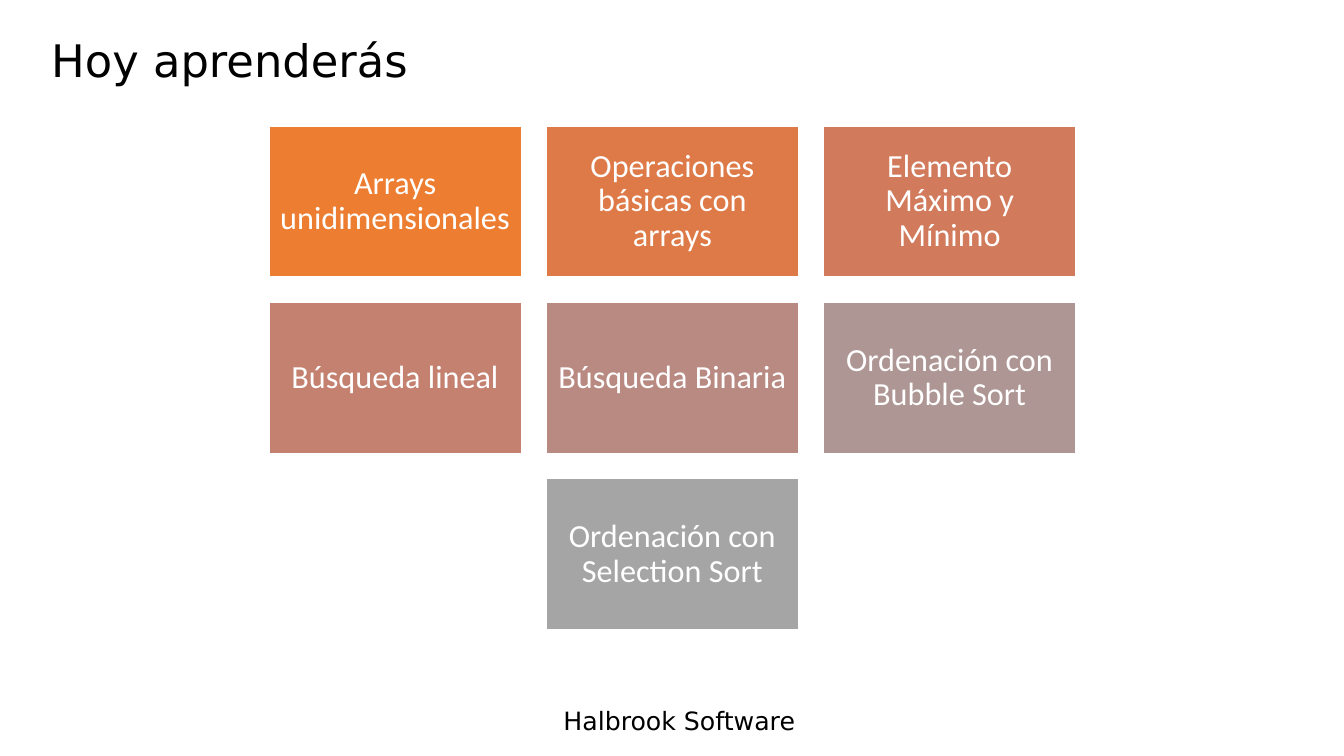
import pptx
import pptx.util
import pptx.dml.color
import pptx.enum.shapes
import pptx.enum.text

PX = 9144  # EMU per px, 100 px to the inch
RGBColor = pptx.dml.color.RGBColor
BLACK = RGBColor(0x00, 0x00, 0x00)
WHITE = RGBColor(0xFF, 0xFF, 0xFF)
ORANGE = RGBColor(0xED, 0x7D, 0x31)
COPPER = RGBColor(0xDE, 0x7A, 0x47)
TERRACOTTA = RGBColor(0xD1, 0x7B, 0x5C)
CLAY = RGBColor(0xC4, 0x81, 0x70)
ROSE = RGBColor(0xB9, 0x8A, 0x82)
MAUVE = RGBColor(0xAE, 0x96, 0x94)
GRAY = RGBColor(0xA5, 0xA5, 0xA5)


def write(shape, text, size, font, color, line_spacing=1.0):
    frame = shape.text_frame
    frame.word_wrap = True
    frame.vertical_anchor = pptx.enum.text.MSO_ANCHOR.MIDDLE
    paragraph = frame.paragraphs[0]
    paragraph.line_spacing = line_spacing
    run = paragraph.add_run()
    run.text = text
    run.font.size = pptx.util.Pt(size)
    run.font.name = font
    run.font.color.rgb = color
    return paragraph


presentation = pptx.Presentation()
presentation.slide_width = 1333 * PX
presentation.slide_height = 750 * PX
slide = presentation.slides.add_slide(presentation.slide_layouts[6])

# Footer and title
footer = slide.shapes.add_textbox(549 * PX, 695 * PX, 290 * PX, 40 * PX)
write(footer, "Halbrook Software", 18, "DejaVu Sans", BLACK)
title = slide.shapes.add_textbox(41 * PX, 15 * PX, 1201 * PX, 95 * PX)
write(title, "Hoy aprenderás", 32, "DejaVu Sans", BLACK, 0.9)

# Topic cards: three to a row, the last row centred
topics = [
    ("Arrays unidimensionales", ORANGE),
    ("Operaciones básicas con arrays", COPPER),
    ("Elemento Máximo y Mínimo", TERRACOTTA),
    ("Búsqueda lineal", CLAY),
    ("Búsqueda Binaria", ROSE),
    ("Ordenación con Bubble Sort", MAUVE),
    ("Ordenación con Selection Sort", GRAY),
]
COLUMNS = 3
CARD_WIDTH, CARD_HEIGHT, GAP = 250, 150, 25
GRID_LEFT, GRID_TOP = 267, 125

for index, (topic, color) in enumerate(topics):
    row, column = divmod(index, COLUMNS)
    cards_in_row = min(COLUMNS, len(topics) - row * COLUMNS)
    indent = (COLUMNS - cards_in_row) * (CARD_WIDTH + GAP) // 2
    left = GRID_LEFT + indent + column * (CARD_WIDTH + GAP)
    top = GRID_TOP + row * (CARD_HEIGHT + GAP)
    card = slide.shapes.add_shape(
        pptx.enum.shapes.MSO_SHAPE.RECTANGLE,
        left * PX, top * PX, CARD_WIDTH * PX, CARD_HEIGHT * PX)
    card.shadow.inherit = False
    card.fill.solid()
    card.fill.fore_color.rgb = color
    card.line.color.rgb = WHITE
    card.line.width = pptx.util.Pt(1)
    frame = card.text_frame
    frame.margin_left = frame.margin_right = 10 * PX
    frame.margin_top = frame.margin_bottom = 10 * PX
    paragraph = write(card, topic, 23, "Calibri", WHITE, 0.9)
    paragraph.alignment = pptx.enum.text.PP_ALIGN.CENTER

presentation.save("out.pptx")
